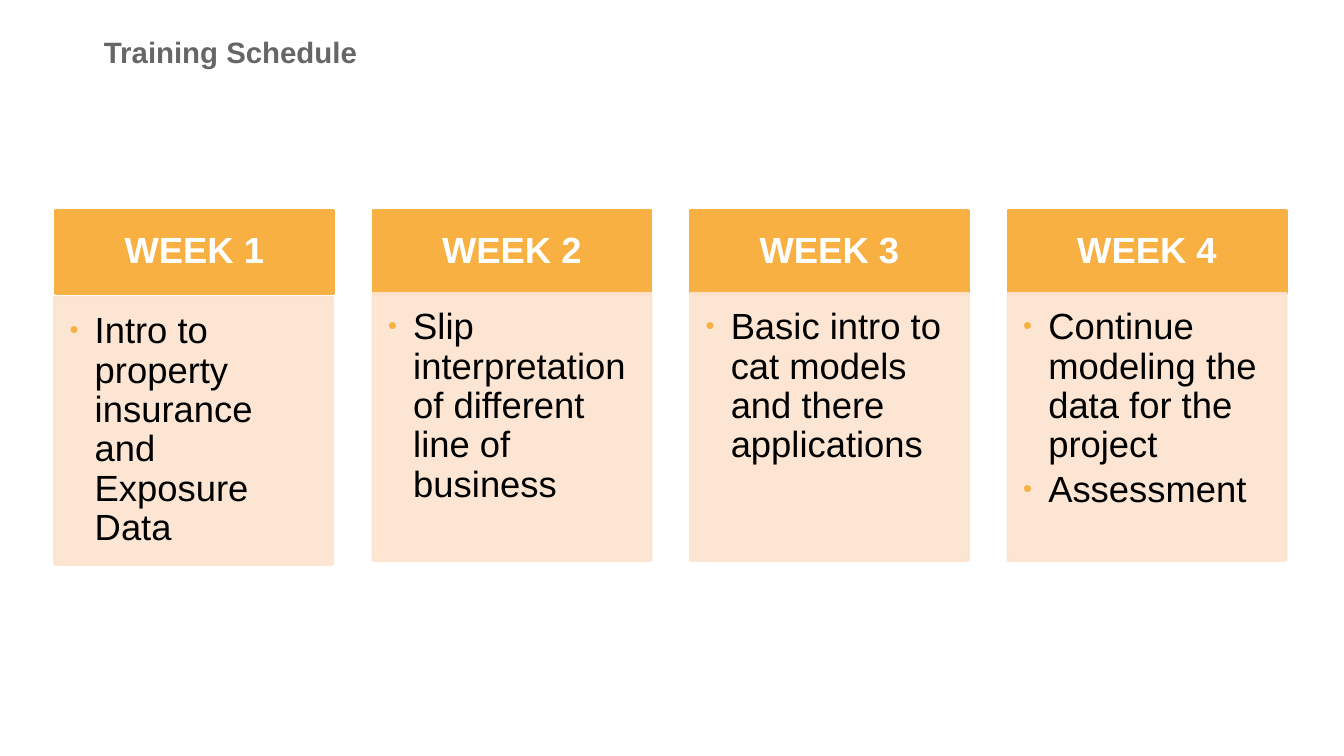
from lxml.etree import SubElement
from pptx import Presentation
from pptx.dml.color import RGBColor
from pptx.enum.shapes import MSO_SHAPE as Preset
from pptx.enum.text import MSO_ANCHOR as Anchor, PP_ALIGN as Align
from pptx.oxml.ns import qn
from pptx.util import Pt

COLOURS = {"title": "666666", "header": "F7B041", "body": "FCE4CF", "white": "FFFFFF", "black": "000000"}
CARD_LEFT, CARD_STEP, CARD_WIDTH = 39.6, 226.8, 198.7
HEADER_TOP, HEADER_HEIGHT, BODY_HEIGHT = 150.5, 59, 190.8
BODY_TOP = HEADER_TOP + HEADER_HEIGHT

WEEKS = [
    ("WEEK 1", ["Intro to property insurance and Exposure Data"], (-0.7, 2.9)),
    ("WEEK 2", ["Slip interpretation of different line of business"], (0, 0)),
    ("WEEK 3", ["Basic intro to cat models and there applications"], (0, 0)),
    ("WEEK 4", ["Continue modeling the data for the project", "Assessment"], (0, 0)),
]


def add_card(left, top, height, colour, margins, anchor):
    box = page.shapes.add_shape(Preset.RECTANGLE, Pt(left), Pt(top), Pt(CARD_WIDTH), Pt(height))
    box.shadow.inherit = False
    for fill in (box.fill, box.line.fill):
        fill.solid()
        fill.fore_color.rgb = RGBColor.from_string(COLOURS[colour])
    box.line.width = Pt(2)
    frame = box.text_frame
    for side, margin in zip(("left", "top", "right", "bottom"), margins):
        setattr(frame, f"margin_{side}", Pt(margin))
    frame.word_wrap = True
    frame.vertical_anchor = anchor
    return box


def write(para, text, size, colour, bold, **layout):
    for name, value in layout.items():
        setattr(para, name, value)
    span = para.add_run()
    span.text = text
    for name, value in {"name": "Arial", "size": Pt(size), "bold": bold}.items():
        setattr(span.font, name, value)
    span.font.color.rgb = RGBColor.from_string(COLOURS[colour])


deck = Presentation()
deck.slide_width, deck.slide_height = Pt(960), Pt(540)
page = deck.slides.add_slide(deck.slide_layouts[5])

title = page.shapes.title
for name, value in {"left": 67, "top": 20.2, "width": 773.3, "height": 33.1}.items():
    setattr(title, name, Pt(value))
title.text_frame.vertical_anchor = Anchor.MIDDLE
write(title.text_frame.paragraphs[0], "Training Schedule", 21, "title", True, alignment=Align.LEFT)

for index, (week, topics, (shift_x, shift_y)) in enumerate(WEEKS):
    left = CARD_LEFT + index * CARD_STEP
    header = add_card(left, HEADER_TOP, HEADER_HEIGHT, "header", (14.4, 8.6, 14.4, 8.6), Anchor.MIDDLE)
    write(header.text_frame.paragraphs[0], week, 26, "white", True, alignment=Align.CENTER, line_spacing=0.9)

    body = add_card(left + shift_x, BODY_TOP + shift_y, BODY_HEIGHT, "body", (10.8, 10.8, 14.4, 16.6), Anchor.TOP)
    for colour in body._element.spPr.iter(qn("a:srgbClr")):
        SubElement(colour, qn("a:alpha"), val="90000")
    for number, topic in enumerate(topics):
        frame = body.text_frame
        para = frame.add_paragraph() if number else frame.paragraphs[0]
        props = para._p.get_or_add_pPr()
        props.set("marL", str(Pt(18)))
        props.set("indent", str(-Pt(18)))
        SubElement(SubElement(props, qn("a:buClr")), qn("a:srgbClr"), val=COLOURS["header"])
        SubElement(props, qn("a:buSzPct"), val="70000")
        SubElement(props, qn("a:buFont"), typeface="Arial")
        SubElement(props, qn("a:buChar"), char="•")
        write(para, topic, 26, "black", False, alignment=Align.LEFT, line_spacing=0.9, space_after=Pt(4), level=1)

deck.save("out.pptx")
